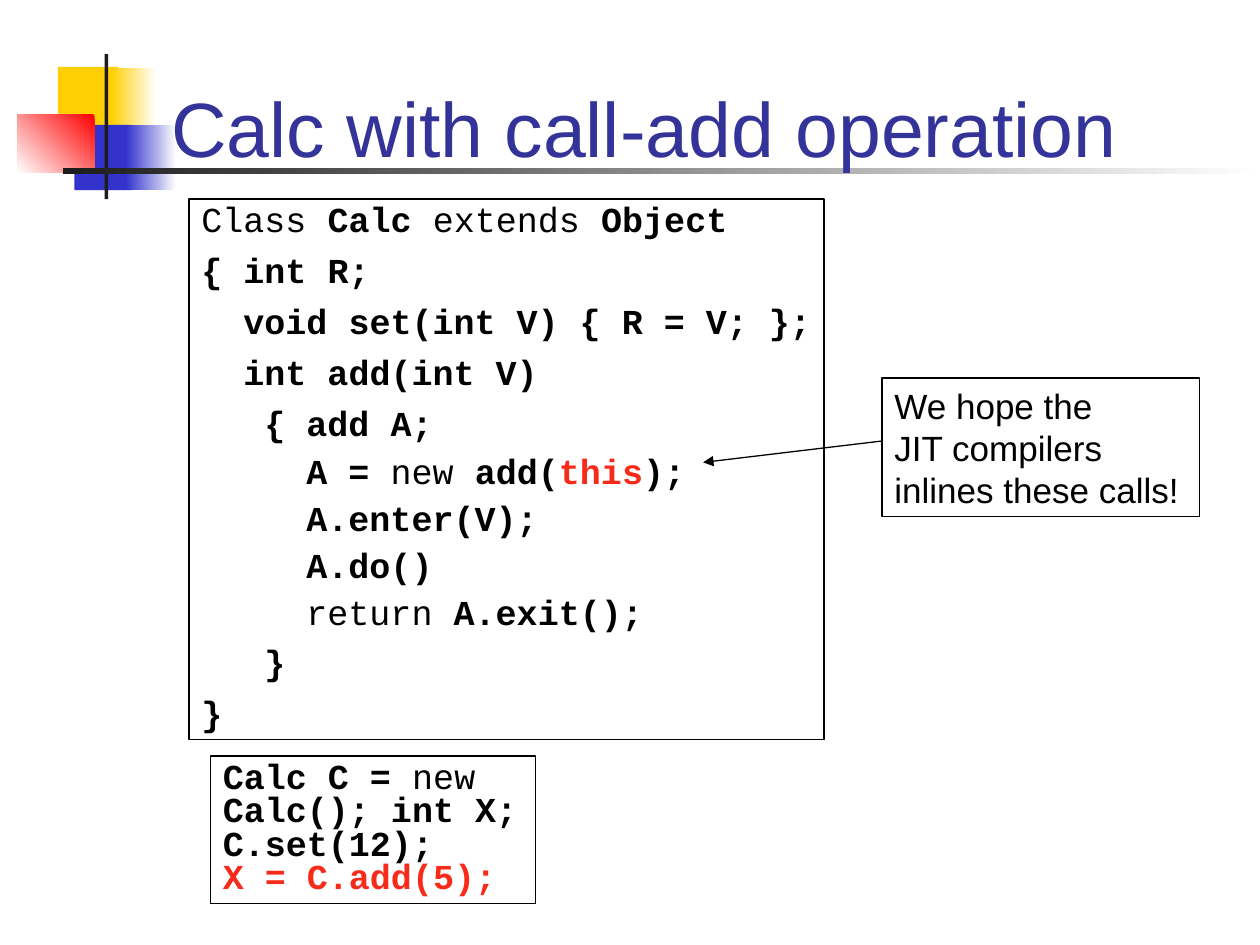
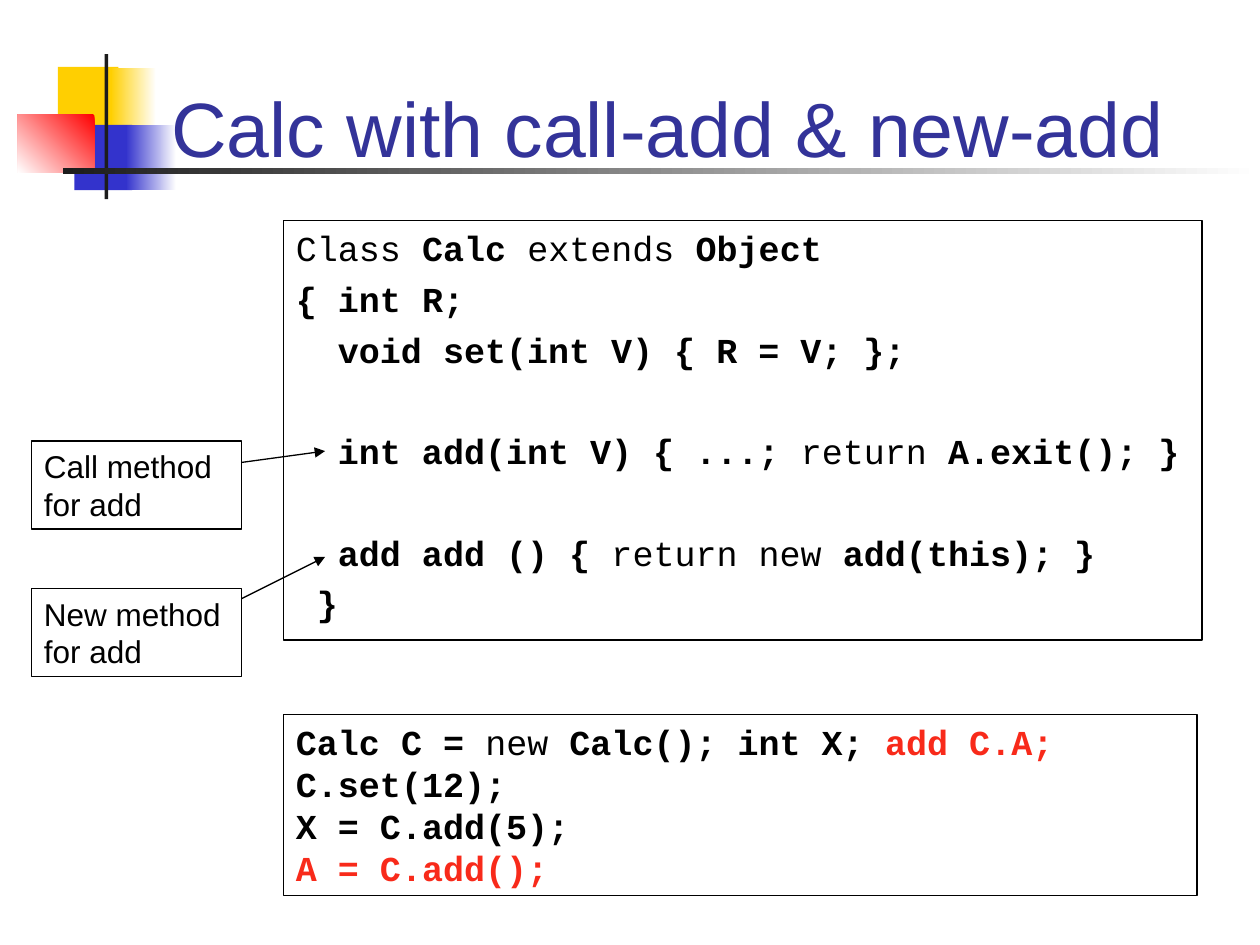
"""Builds two slides on the Calc class with call-add and new-add operations."""
from lxml import etree
from pptx import Presentation
from pptx import util as u
from pptx.dml import color
from pptx.enum import shapes, text
from pptx.oxml import ns

WHITE = color.RGBColor(0xFF, 0xFF, 0xFF)
BLACK = color.RGBColor(0x00, 0x00, 0x00)
CHARCOAL = color.RGBColor(0x1C, 0x1C, 0x1C)
YELLOW = color.RGBColor(0xFF, 0xCF, 0x01)
BLUE = color.RGBColor(0x33, 0x33, 0xCC)
RED = color.RGBColor(0xFF, 0x00, 0x00)
TITLE_BLUE = color.RGBColor(0x33, 0x33, 0x99)
HIGHLIGHT = color.RGBColor(0xF8, 0x2A, 0x1A)
SANS, MONO = "Arial", "Courier New"
OUTLINE = u.Pt(0.74)
CODE_SIZE = 20
CODE_COLUMN = u.Pt(CODE_SIZE * 0.6)


class Deck:
    """Holds the shared style and the slide being drawn."""

    def __init__(self):
        self.prs = Presentation()
        self.prs.slide_width, self.prs.slide_height = u.Inches(10), u.Inches(7.5)
        self.slide = None

    def new_slide(self, heading):
        """Starts a slide with the corner motif and its title."""
        self.slide = self.prs.slides.add_slide(self.prs.slide_layouts[6])
        self.block(0.46, 0.53, 0.48, 0.52, YELLOW)
        self.block(0.88, 0.54, 0.36, 0.52, WHITE, YELLOW)
        self.block(0.59, 0.99, 0.46, 0.52, BLUE)
        self.block(1, 0.99, 0.4, 0.52, WHITE, BLUE)
        self.block(0.14, 0.91, 0.61, 0.46, RED, WHITE, angle=225)
        self.block(0.83, 0.43, 0.03, 1.15, CHARCOAL)
        self.block(0.5, 1.33, 9.5, 0.05, WHITE, CHARCOAL)
        title = self.slide.shapes.add_textbox(*map(u.Inches, (1.26, 0.17, 8.52, 1.25)))
        frame = title.text_frame
        frame.word_wrap = True
        frame.vertical_anchor = text.MSO_ANCHOR.BOTTOM
        frame.text = heading
        self.style(frame.paragraphs[0].runs[0], SANS, 44, TITLE_BLUE)

    def rectangle(self, left, top, width, height):
        """Adds a rectangle without shadow."""
        shape = self.slide.shapes.add_shape(
            shapes.MSO_SHAPE.RECTANGLE, *map(u.Inches, (left, top, width, height)))
        shape.shadow.inherit = False
        return shape

    def block(self, left, top, width, height, start, end=None, angle=180):
        """Adds a borderless block, solid or fading from start to end."""
        shape = self.rectangle(left, top, width, height)
        shape.line.fill.background()
        if end is None:
            shape.fill.solid()
            shape.fill.fore_color.rgb = start
            return
        shape.fill.gradient()
        shape.fill.gradient_angle = angle
        for stop, shade in zip(shape.fill.gradient_stops, (start, end)):
            stop.color.rgb = shade

    def style(self, run, font, size, shade, bold=False):
        """Formats one run."""
        run.font.name, run.font.size, run.font.bold = font, u.Pt(size), bold
        run.font.color.rgb = shade

    def frame(self, left, top, width, height, wrap=True, grow=True):
        """Adds an outlined box and returns its text frame."""
        shape = self.rectangle(left, top, width, height)
        shape.fill.background()
        shape.line.color.rgb, shape.line.width = BLACK, OUTLINE
        frame = shape.text_frame
        frame.word_wrap = wrap
        frame.auto_size = (text.MSO_AUTO_SIZE.SHAPE_TO_FIT_TEXT if grow
                           else text.MSO_AUTO_SIZE.NONE)
        frame.vertical_anchor = text.MSO_ANCHOR.TOP
        return frame

    def note(self, left, top, width, height, wording, size, before=0):
        """Adds a boxed remark."""
        frame = self.frame(left, top, width, height)
        frame.text = wording
        remark = frame.paragraphs[0]
        remark.alignment, remark.space_before = text.PP_ALIGN.LEFT, u.Pt(before)
        for run in remark.runs:
            self.style(run, SANS, size, BLACK)

    def code(self, box, lines, before=0, spacing=1.0, **options):
        """Adds boxed code; '|' parts runs, '~' marks plain and '^' highlighted ones."""
        frame = self.frame(*box, **options)
        for index, line in enumerate(lines):
            if isinstance(line, str):
                line = (line, {})
            source, special = line
            row = frame.add_paragraph() if index else frame.paragraphs[0]
            row.alignment = text.PP_ALIGN.LEFT
            row.space_before = u.Pt(special.get("before", before))
            row.line_spacing = special.get("spacing", spacing)
            statement = source.lstrip(" ")
            indent = (len(source) - len(statement)) * CODE_COLUMN
            row._p.get_or_add_pPr().set("marL", str(indent))
            for part in statement.split("|"):
                self.code_part(row, part)

    def code_part(self, row, part):
        """Adds one marked part of a code line, with its line breaks."""
        shade = HIGHLIGHT if part.startswith("^") else BLACK
        bold = not part.startswith("~")
        for index, words in enumerate(part.lstrip("~^").split("\n")):
            if index:
                row.add_line_break()
            if words:
                run = row.add_run()
                run.text = words
                self.style(run, MONO, CODE_SIZE, shade, bold)

    def arrow(self, *ends):
        """Adds an arrow given by its start and end coordinates."""
        link = self.slide.shapes.add_connector(
            shapes.MSO_CONNECTOR.STRAIGHT, *map(u.Inches, ends))
        link.line.color.rgb, link.line.width = BLACK, OUTLINE
        etree.SubElement(link.line._get_or_add_ln(), ns.qn("a:tailEnd"), type="triangle")
        etree.SubElement(link._element.spPr, ns.qn("a:effectLst"))


CLASS_HEAD = ["~Class| Calc |~extends| Object", "{ int R;",
              "  void set(int V) { R = V; };"]
TIGHT = {"spacing": 0.7}
AFTER_GAP = {"before": 34}

deck = Deck()

deck.new_slide("Calc with call-add operation")
deck.code((1.5, 1.58, 5.04, 4.29), CLASS_HEAD + [
    "  int add(int V)",
    "   { add A;",
    ("     A = |~new| add(|^this|);", TIGHT),
    ("     A.enter(V);", TIGHT),
    ("     A.do()", TIGHT),
    ("     |~return| A.exit();", TIGHT),
    "   }",
    "}",
], before=10, spacing=0.8, wrap=False)
deck.note(7, 3, 2.52, 1.1, "We hope the\vJIT compilers\vinlines these calls!", 20)
deck.arrow(7, 3.5, 5.58, 3.67)
deck.code((1.67, 6, 2.58, 1.17),
          ["Calc C = |~new| Calc(); int X;\nC.set(12);\n|^X = C.add(5);"],
          before=10, spacing=0.8)

deck.new_slide("Calc with call-add & new-add")
deck.code((2.25, 1.75, 7.29, 3.33), CLASS_HEAD + [
    ("  int add(int V) { ...; |~return| A.exit(); }", AFTER_GAP),
    ("  add add () { |~return new| add(this); }", AFTER_GAP),
    " }",
], before=5, grow=False)
for top, method, start, end in ((3.5, "Call", 3.67, 3.58), (4.67, "New", 4.75, 4.42)):
    deck.note(0.25, top, 1.67, 0.7, f"{method} method for add", 18, before=11.2)
    deck.arrow(1.92, start, 2.58, end)
deck.code((2.25, 5.67, 7.25, 1.44), [
    "Calc C = |~new| Calc(); int X; |^add C.A;",
    "C.set(12);",
    "X = C.add(5);",
    "^A = C.add();",
])

deck.prs.save("out.pptx")
